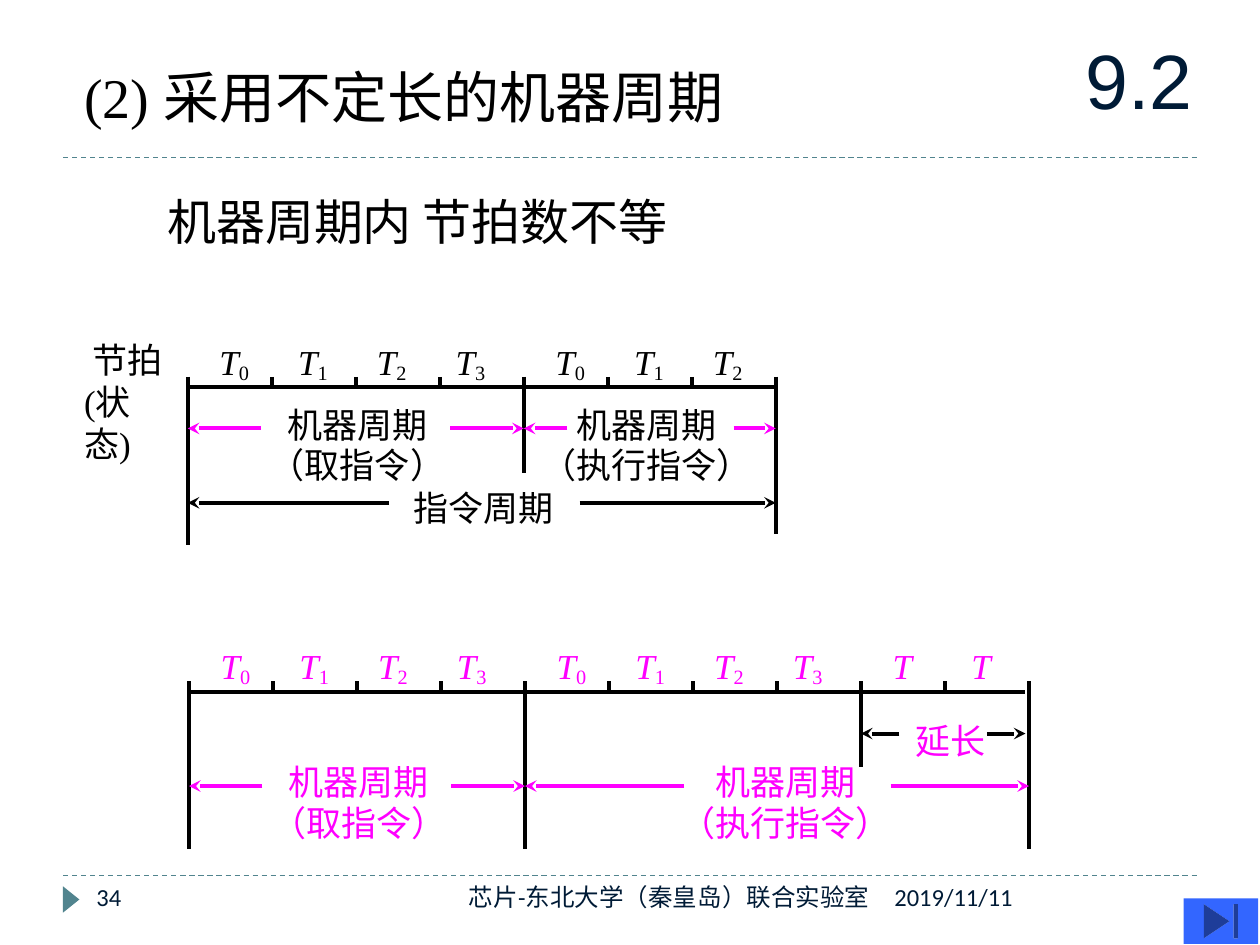
from dataclasses import dataclass

from lxml import etree
from pptx import Presentation
from pptx.dml.color import RGBColor
from pptx.enum.dml import MSO_LINE
from pptx.enum.shapes import MSO_CONNECTOR, MSO_SHAPE
from pptx.enum.text import MSO_ANCHOR, PP_ALIGN
from pptx.oxml.ns import qn
from pptx.util import Pt

STRAIGHT = MSO_CONNECTOR.STRAIGHT
DASH = MSO_LINE.DASH
TRIANGLE, END_BUTTON = MSO_SHAPE.ISOSCELES_TRIANGLE, MSO_SHAPE.ACTION_BUTTON_END
LEFT, CENTER, RIGHT = PP_ALIGN.LEFT, PP_ALIGN.CENTER, PP_ALIGN.RIGHT
TOP, MIDDLE = MSO_ANCHOR.TOP, MSO_ANCHOR.MIDDLE


@dataclass(frozen=True)
class Theme:
    black: str = "000000"
    magenta: str = "FF00FF"
    navy: str = "001B36"
    teal: str = "51848E"
    button: str = "3366FF"
    serif: str = "Times New Roman"
    sans: str = "Arial"
    footer_font: str = "Calibri"
    title: int = 32
    section: int = 44
    subtitle: int = 28
    label: int = 20
    footer: int = 14
    rule: float = 0.75
    stroke: float = 2.25


THEME = Theme()
BEAT = 48            # width of one clock beat
CYCLE = 4 * BEAT     # width of a full machine cycle
TICK = 6             # height of a tick above the axis
LINE_H = 31          # height of a one-line label box
CAPTION_STEP = 23    # distance between the two lines of a caption


def add_line(slide, x1, y1, x2, y2, color=THEME.black, width=THEME.stroke,
             dash=None, arrow=False):
    line = slide.shapes.add_connector(STRAIGHT, Pt(x1), Pt(y1), Pt(x2), Pt(y2))
    line.line.color.rgb = RGBColor.from_string(color)
    line.line.width = Pt(width)
    if dash:
        line.line.dash_style = dash
    if arrow:
        etree.SubElement(line.line._get_or_add_ln(), qn("a:tailEnd"), type="stealth")
    etree.SubElement(line._element.spPr, qn("a:effectLst"))


def add_text(slide, box, text, size=THEME.label, color=THEME.black,
             font=THEME.serif, align=LEFT, anchor=TOP, wrap=True):
    tb = slide.shapes.add_textbox(*map(Pt, box))
    tf = tb.text_frame
    tf.word_wrap = wrap
    tf.vertical_anchor = anchor
    tf.text = text
    for p in tf.paragraphs:
        p.alignment = align
        for r in p.runs:
            r.font.size = Pt(size)
            r.font.name = font
            r.font.color.rgb = RGBColor.from_string(color)
    return tf


def add_filled(slide, kind, box, color):
    sp = slide.shapes.add_shape(kind, *map(Pt, box))
    sp.shadow.inherit = False
    sp.fill.solid()
    sp.fill.fore_color.rgb = RGBColor.from_string(color)
    sp.line.fill.background()
    return sp


def add_beat(slide, x, y, index, color):
    """Italic T with its beat number as subscript; index may be empty."""
    tf = add_text(slide, (x, y, 33, LINE_H), "T", color=color, wrap=False)
    p = tf.paragraphs[0]
    p.runs[0].font.italic = True
    if index:
        r = p.add_run()
        r.text = index
        r.font.size = Pt(THEME.label)
        r.font.name = THEME.serif
        r.font.color.rgb = RGBColor.from_string(color)
        r._r.get_or_add_rPr().set("baseline", "-15000")


def add_axis(slide, x, y, length, cycles, color):
    """Time axis with beat ticks and, per cycle, its row of beat names."""
    add_line(slide, x, y, x + length, y)
    for i in range(sum(map(len, cycles)) + 1):
        add_line(slide, x + i * BEAT, y - TICK, x + i * BEAT, y)
    for c, cycle in enumerate(cycles):
        for i, index in enumerate(cycle):
            add_beat(slide, x + c * CYCLE + 11 + 45 * i, y - 30.5, index, color)


def add_caption(slide, x, y, action, width, color):
    """Two centred lines: the machine cycle and what it does."""
    for i, (text, w) in enumerate((("机器周期", 95), (action, width))):
        add_text(slide, (x - w / 2, y + i * CAPTION_STEP, w, LINE_H), text,
                 color=color, align=CENTER, wrap=False)


def add_span(slide, left, right, y, gap_left, gap_right, color):
    """Arrows pointing out from a gap to both ends of a span."""
    add_line(slide, gap_left, y, left, y, color, arrow=True)
    add_line(slide, gap_right, y, right, y, color, arrow=True)


def short_execute_diagram(slide, x, y):
    mid, end = x + CYCLE, x + 7 * BEAT
    add_axis(slide, x, y, 7 * BEAT, ("0123", "012"), THEME.black)
    for post, bottom in ((x, 90), (mid, 49), (end, 84)):
        add_line(slide, post, y - TICK, post, y + bottom)
    add_span(slide, x, mid, y + 23.5, x + 42, x + 150, THEME.magenta)
    add_span(slide, mid, end, y + 23.5, mid + 25, end - 24, THEME.magenta)
    add_caption(slide, x + 97, y + 5.5, "（取指令）", 115, THEME.black)
    add_caption(slide, mid + 70, y + 5.5, "（执行指令）", 135, THEME.black)
    add_span(slide, x, end, y + 66, x + 115, x + 224, THEME.black)
    add_text(slide, (x + 122, y + 53, 95, LINE_H), "指令周期", wrap=False)

    tf = add_text(slide, (41, y - 31.5, 67.5, 55), "节拍\n(状态)")
    tf.paragraphs[0]._p.get_or_add_pPr().set("indent", str(Pt(5)))


def extended_execute_diagram(slide, x, y):
    mid, extra, end = x + CYCLE, x + 2 * CYCLE, x + 10 * BEAT
    add_axis(slide, x, y, 10 * BEAT - 2, ("0123", "0123", ("", "")), THEME.magenta)
    for post, bottom in ((x, 90), (mid, 90), (extra, 43), (end, 90)):
        add_line(slide, post, y - TICK, post, y + bottom)
    add_span(slide, x, mid, y + 54, x + 42, x + 150, THEME.magenta)
    add_span(slide, mid, end, y + 54, mid + 91, end - 79, THEME.magenta)
    add_caption(slide, x + 97, y + 36, "（取指令）", 115, THEME.magenta)
    add_caption(slide, mid + 149, y + 36, "（执行指令）", 135, THEME.magenta)
    add_span(slide, extra, end - 2, y + 24, extra + 22, end - 24, THEME.black)
    add_text(slide, (extra + 24, y + 12.5, 55, LINE_H), "延长",
             color=THEME.magenta, wrap=False)


def header(slide, x, y, w, h):
    add_line(slide, x, y + h, x + w, y + h, THEME.teal, THEME.rule, DASH)
    add_text(slide, (x + 5, y + 32, 461, 45), "(2) 采用不定长的机器周期", THEME.title)
    add_text(slide, (x + 570, y + 12, 90, 66), "9.2", THEME.section, THEME.navy,
             THEME.sans, CENTER, MIDDLE)
    add_text(slide, (x + 52.5, y + 106, 397, 41), "机器周期内 节拍数不等",
             THEME.subtitle)


def footer(slide, x, y, w, h):
    add_line(slide, x, y, x + w, y, THEME.teal, THEME.rule, DASH)
    marker = add_filled(slide, TRIANGLE, (x - 2.9, y + 8.9, 15.1, 9.4), THEME.teal)
    marker.rotation = 90
    for left, width, text, align in (
            (12, 156, "34", LEFT),
            (192, 276, "芯片-东北大学（秦皇岛）联合实验室", RIGHT),
            (468, 180, "2019/11/11", LEFT)):
        add_text(slide, (x + left, y, width, h), text, THEME.footer, THEME.navy,
                 THEME.footer_font, align)
    add_filled(slide, END_BUTTON, (x + 640.4, y + 13, 42.5, 26), THEME.button)


def main():
    prs = Presentation()
    prs.slide_width, prs.slide_height = Pt(720), Pt(540)
    slide = prs.slides.add_slide(prs.slide_layouts[6])
    header(slide, 36, 0, 648, 90)
    short_execute_diagram(slide, 107.3, 221.3)
    extended_execute_diagram(slide, 108, 395.2)
    footer(slide, 36, 500.4, 648, 29)
    prs.save("out.pptx")


if __name__ == "__main__":
    main()
